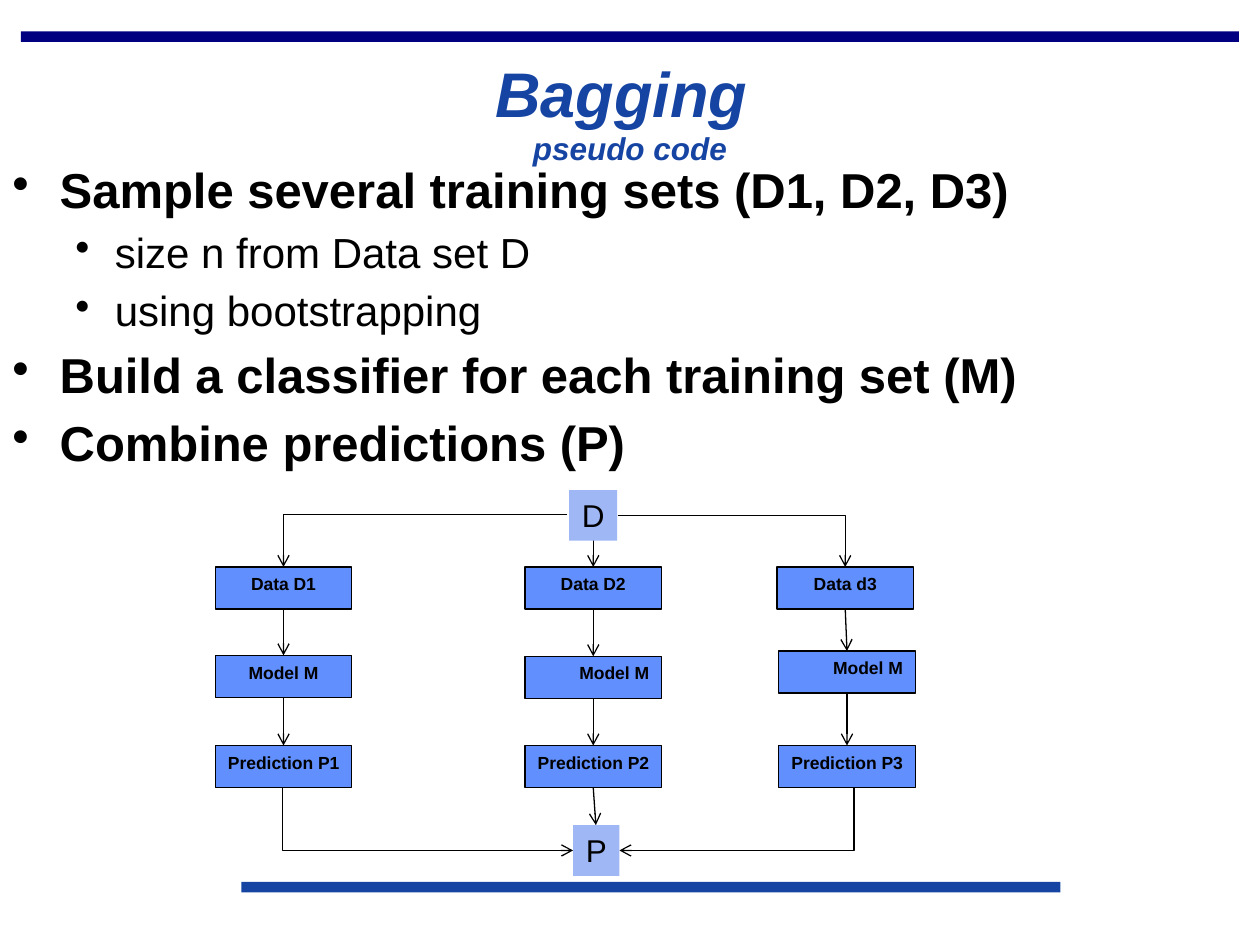
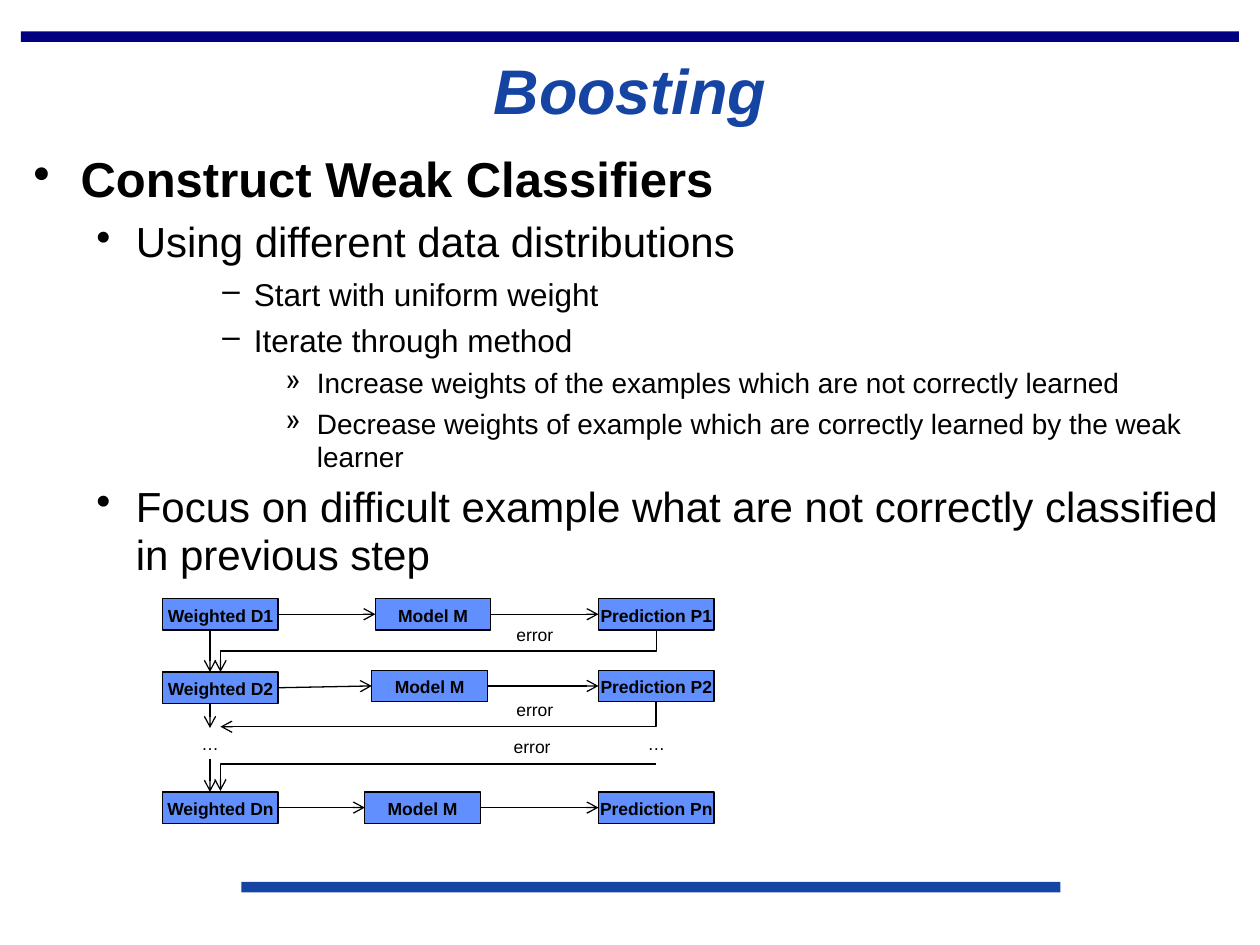
from dataclasses import dataclass
from pptx import Presentation
from pptx.dml.color import RGBColor
from pptx.enum.shapes import MSO_CONNECTOR, MSO_SHAPE
from pptx.enum.text import MSO_ANCHOR, PP_ALIGN
from pptx.oxml.ns import qn
from pptx.util import Pt
from lxml.etree import SubElement


@dataclass(frozen=True)
class Theme:
    """Colours, type sizes and bullet levels of the deck."""
    font: str = "Arial"
    navy: str = "000080"
    blue: str = "1544A3"
    box: str = "618FFD"
    pale: str = "A0B7F6"
    ink: str = "000000"
    title: int = 36
    sub: int = 18
    node: int = 18
    label: int = 10
    thin: float = 0.75
    tight: float = 0.95
    levels: tuple = (
        (28, 27, -27, "•"),
        (24, 58.5, -22.5, "•"),
        None,
        (18, 126, -18, "–"),
        (16, 162, -18, "»"),
    )


class Deck:
    """Draws the elements of the deck on the current slide."""

    def __init__(self, theme):
        """Start an empty deck of 10 by 7.5 inches."""
        self.theme = theme
        self.prs = Presentation()
        self.prs.slide_width, self.prs.slide_height = Pt(720), Pt(540)

    def page(self):
        """Add a blank slide with its two bands."""
        self.slide = self.prs.slides.add_slide(self.prs.slide_layouts[6])
        self.shapes = self.slide.shapes
        self.rect(12, 18, 696, 6, self.theme.navy)
        self.rect(138, 504, 468, 6, self.theme.blue)

    def rect(self, x, y, w, h, fill, line=False):
        """Add a filled rectangle."""
        shape = self.shapes.add_shape(MSO_SHAPE.RECTANGLE, Pt(x), Pt(y), Pt(w), Pt(h))
        shape.shadow.inherit = False
        shape.fill.solid()
        shape.fill.fore_color.rgb = RGBColor.from_string(fill)
        if line:
            shape.line.color.rgb = RGBColor.from_string(self.theme.ink)
            shape.line.width = Pt(self.theme.thin)
        else:
            shape.line.fill.background()
        return shape

    def run(self, para, text, size, bold=False, color=None, slant=False):
        """Add one run of text."""
        run = para.add_run()
        run.text = text
        font = run.font
        font.name, font.size = self.theme.font, Pt(size)
        font.bold, font.italic = bold, slant
        font.color.rgb = RGBColor.from_string(color or self.theme.ink)

    def frame(self, x, y, w, h):
        """Add a wrapping text box and return its frame."""
        frame = self.shapes.add_textbox(Pt(x), Pt(y), Pt(w), Pt(h)).text_frame
        frame.word_wrap = True
        return frame

    def title(self, y, text, sub=None):
        """Add the slide title and its small second line."""
        frame = self.frame(12, y, 696, 82)
        frame.vertical_anchor = MSO_ANCHOR.MIDDLE
        para = frame.paragraphs[0]
        para.alignment = PP_ALIGN.CENTER
        para.line_spacing = self.theme.tight
        look = dict(bold=True, color=self.theme.blue, slant=True)
        self.run(para, text, self.theme.title, **look)
        if sub:
            para.add_line_break()
            self.run(para, sub, self.theme.sub, **look)

    def body(self, x, y, h, items):
        """Add a bulleted list of (level, text) items."""
        frame = self.frame(x, y, 696, h)
        for i, (level, text) in enumerate(items):
            para = frame.add_paragraph() if i else frame.paragraphs[0]
            size, left, hang, mark = self.theme.levels[level]
            para.level = level
            para.space_before = Pt(size / 4)
            para.line_spacing = self.theme.tight if level < 2 else 1.0
            props = para._p.get_or_add_pPr()
            props.set("marL", str(Pt(left)))
            props.set("indent", str(Pt(hang)))
            SubElement(props, qn("a:buChar")).set("char", mark)
            self.run(para, text, size, bold=level == 0)

    def box(self, x, y, w, h, text, right=False):
        """Add an outlined step box with a bold label."""
        frame = self.rect(x, y, w, h, self.theme.box, line=True).text_frame
        frame.word_wrap = True
        frame.vertical_anchor = MSO_ANCHOR.TOP
        frame.margin_left, frame.margin_right = 0, Pt(7.2 if right else 0)
        para = frame.paragraphs[0]
        para.alignment = PP_ALIGN.RIGHT if right else PP_ALIGN.CENTER
        self.run(para, text, self.theme.label, bold=True)

    def node(self, x, y, w, text):
        """Add a pale node with one letter."""
        frame = self.rect(x, y, w, 29, self.theme.pale).text_frame
        frame.word_wrap = False
        frame.vertical_anchor = MSO_ANCHOR.TOP
        para = frame.paragraphs[0]
        para.alignment = PP_ALIGN.CENTER
        self.run(para, text, self.theme.node)

    def note(self, x, y, w, text):
        """Add a small plain label."""
        self.run(self.frame(x, y, w, 19).paragraphs[0], text, self.theme.label)

    def arrow(self, x1, y1, x2, y2, kind=MSO_CONNECTOR.STRAIGHT):
        """Add a connector with an open arrowhead at its end."""
        link = self.shapes.add_connector(kind, Pt(x1), Pt(y1), Pt(x2), Pt(y2))
        link.line.color.rgb = RGBColor.from_string(self.theme.ink)
        link.line.width = Pt(self.theme.thin)
        SubElement(link.line._get_or_add_ln(), qn("a:tailEnd")).set("type", "arrow")
        props = link._element.spPr
        SubElement(props, qn("a:effectLst"))
        return props

    def side(self, x1, y1, x2, y2):
        """Add an arrow that goes sideways, then down."""
        props = self.arrow(x1, y1, x2, y2, MSO_CONNECTOR.ELBOW)
        props.find(qn("a:prstGeom")).set("prst", "bentConnector2")

    def down(self, x1, y1, x2, y2):
        """Add an arrow that goes down, then sideways."""
        props = self.arrow(x1, y1, x2, y2, MSO_CONNECTOR.ELBOW)
        geom = props.find(qn("a:prstGeom"))
        stops = geom.find(qn("a:avLst"))
        if stops is None:
            stops = SubElement(geom, qn("a:avLst"))
        stop = SubElement(stops, qn("a:gd"))
        stop.set("name", "adj1")
        stop.set("fmla", "val 0")

    def step(self, x1, y1, x2, y2):
        """Add an arrow that goes down, left and down again."""
        mid, cen = (x1 + x2) / 2, (y1 + y2) / 2
        w, h = (y2 - y1) / 2, (x1 - x2) / 2
        props = self.arrow(mid - w, cen - h, mid + w, cen + h, MSO_CONNECTOR.ELBOW)
        props.find(qn("a:xfrm")).set("rot", "5400000")


def bagging(deck):
    """Build the bagging slide."""
    deck.page()
    deck.title(24, "Bagging ", "pseudo code")
    deck.body(0, 90, 342, [
        (0, "Sample several training sets (D1, D2, D3)"),
        (1, "size n from Data set D"),
        (1, "using bootstrapping"),
        (0, "Build a classifier for each training set (M)"),
        (0, "Combine predictions (P)"),
    ])
    w, h, data, pred = 78, 24, 324, 426
    cols = [
        (123, 123, 374.5, "Data D1", "Prediction P1"),
        (300, 300, 375, "Data D2", "Prediction P2"),
        (444, 445, 372, "Data d3", "Prediction P3"),
    ]
    for i, (x, low, model, first, last) in enumerate(cols):
        deck.box(x, data, w, h, first)
        deck.box(low, model, w, h, "Model M", right=i > 0)
        deck.box(low, pred, w, h, last, right=True)
        deck.arrow(x + w / 2, data + h, low + w / 2, model)
        deck.arrow(low + w / 2, model + h, low + w / 2, pred)
    deck.side(324, 294, 162, data)
    deck.arrow(339, 294, 339, data)
    deck.side(353, 294.5, 483, data)
    deck.down(161.5, pred + h, 327.5, 486)
    deck.arrow(339, pred + h, 340.5, 471.5)
    deck.down(488, pred + h, 354, 486)
    deck.node(325.25, 280, 27.5, "D")
    deck.node(327.5, 471.5, 26.5, "P")


def boosting(deck):
    """Build the boosting slide."""
    deck.page()
    deck.side(375, 436.5, 126, 452)
    deck.step(375, 360, 126, 384)
    deck.down(375, 401, 126, 415.25)
    deck.title(12, "Boosting")
    deck.body(12, 84, 378, [
        (0, "Construct Weak Classifiers"),
        (1, "Using different data distributions"),
        (3, "Start with uniform weight"),
        (3, "Iterate through method"),
        (4, "Increase weights of the examples which are not correctly learned"),
        (4, "Decrease weights of example which are correctly learned by the weak learner"),
        (1, "Focus on difficult example what are not correctly classified in previous step"),
    ])
    w, h, left, right = 66, 18, 93, 342
    rows = [("1", 342, 342, 214.5), ("2", 384, 383, 212.5), ("n", 452.5, 452.5, 208.5)]
    for tag, y, top, mid in rows:
        deck.box(left, y, w, h, f"Weighted D{tag}")
        deck.box(mid, top, w, h, "Model M")
        deck.box(right, top, w, h, f"Prediction P{tag}")
        deck.arrow(left + w, y + h / 2, mid, top + h / 2)
        deck.arrow(mid + w, top + h / 2, right, top + h / 2)
    for y1, y2 in [(360, 384), (402, 416), (433.5, 452.5)]:
        deck.arrow(120, y1, 120, y2)
    for x, y in [(288, 353), (288, 396), (286.5, 417)]:
        deck.note(x, y, 44, "error")
    for x in (108, 363):
        deck.note(x, 415.5, 25, "…")


def main():
    """Build and save the deck."""
    deck = Deck(Theme())
    bagging(deck)
    boosting(deck)
    deck.prs.save("out.pptx")


if __name__ == "__main__":
    main()
